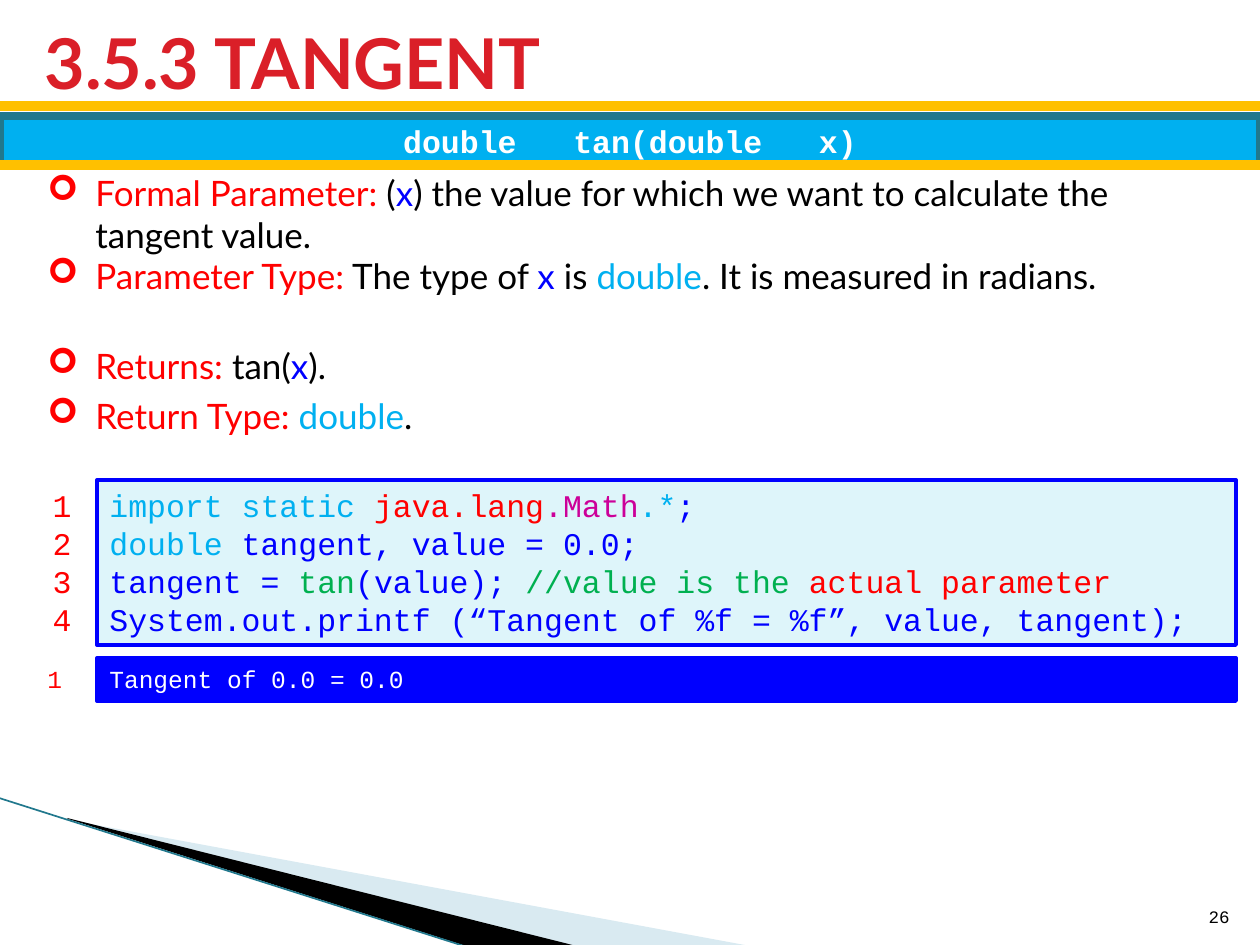
from lxml import etree
from pptx import Presentation, util as u
from pptx.dml.color import RGBColor
from pptx.enum import shapes, text
from pptx.oxml.ns import qn

PX = 914400 / 126
WHITE = RGBColor(0xFF, 0xFF, 0xFF)
BLACK = RGBColor(0, 0, 0)
RED = RGBColor(0xFF, 0, 0)
TITLE_RED = RGBColor(0xDA, 0x1F, 0x28)
BLUE = RGBColor(0, 0, 0xFF)
SKY = RGBColor(0, 0xB0, 0xF0)
GREEN = RGBColor(0, 0xB0, 0x50)
MAGENTA = RGBColor(0xCC, 0, 0x99)
GOLD = RGBColor(0xFF, 0xC0, 0)
TEAL = RGBColor(0x21, 0x78, 0x8D)
PALE = RGBColor(0xDE, 0xF5, 0xFA)
MIST = RGBColor(0xD9, 0xEA, 0xF1)
LEFT, TOP, MIDDLE = text.PP_ALIGN.LEFT, text.MSO_ANCHOR.TOP, text.MSO_ANCHOR.MIDDLE
CENTER, RIGHT = text.PP_ALIGN.CENTER, text.PP_ALIGN.RIGHT


def px(*lengths):
    return [u.Emu(round(n * PX)) for n in lengths]


def write(holder, lines, size, font="Courier New", bold=False, align=LEFT, anchor=TOP):
    """Fill a shape with lines, each a list of (wording, colour) pieces."""
    frame = holder.text_frame
    frame.word_wrap = True
    frame.vertical_anchor = anchor
    for i, pieces in enumerate(lines):
        line = frame.add_paragraph() if i else frame.paragraphs[0]
        line.alignment = align
        for wording, colour in pieces:
            run = line.add_run()
            run.text = wording
            run.font.size, run.font.name, run.font.bold = u.Pt(size), font, bold
            run.font.color.rgb = colour


deck = Presentation()
deck.slide_width, deck.slide_height = px(1260, 945)
slide = deck.slides.add_slide(deck.slide_layouts[5])
parts = slide.shapes

# Corner wedges
for colour, corners in [
    (MIST, [(69, 820), (750, 946), (575, 946), (69, 819)]),
    (BLACK, [(67, 818), (576, 946), (469, 947), (68, 819)]),
]:
    outline = parts.build_freeform(*corners[0], scale=PX)
    outline.add_line_segments(corners[1:])
    wedge = outline.convert_to_shape()
    wedge.shadow.inherit = False
    wedge.fill.solid()
    wedge.fill.fore_color.rgb = colour
    wedge.line.fill.background()

# Title
title = parts.title
title.left, title.top, title.width, title.height = px(32, 21, 1193, 82)
write(title, [[("3.5.3 TANGENT", TITLE_RED)]], 40, "Lato", True, anchor=MIDDLE)
title.text_frame.auto_size = text.MSO_AUTO_SIZE.NONE

# Signature banner, code listing and output
panels = []
for box, fill, edge, weight in [
    ((0, 116, 1260, 49), SKY, TEAL, 4.33),
    ((97, 480, 1139, 165), PALE, BLUE, 2.25),
    ((97, 658, 1139, 43), BLUE, BLUE, 2.25),
]:
    panel = parts.add_shape(shapes.MSO_SHAPE.RECTANGLE, *px(*box))
    panel.shadow.inherit = False
    panel.fill.solid()
    panel.fill.fore_color.rgb = fill
    panel.line.color.rgb = edge
    panel.line.width = u.Pt(weight)
    panels.append(panel)
banner, code, output = panels
write(banner, [[("double   tan(double   x)", WHITE)]], 18, bold=True, align=CENTER, anchor=MIDDLE)
write(code, [
    [("import static ", SKY), ("java.lang", RED), (".Math", MAGENTA), (".*", SKY), (";", BLUE)],
    [("double", SKY), (" tangent, value = 0.0;", BLUE)],
    [("tangent = ", BLUE), ("tan", GREEN), ("(value); ", BLUE),
     ("//value is the ", GREEN), ("actual parameter", RED)],
    [("System.out.printf (“Tangent of %f = %f”, value, tangent);", BLUE)],
], 18)
write(output, [[("Tangent of 0.0 = 0.0", WHITE)]], 14)

# Line numbers
code_numbers = parts.add_textbox(*px(25, 480, 59, 165))
write(code_numbers, [[(str(n), RED)] for n in range(1, 5)], 18, align=RIGHT)
output_number = parts.add_textbox(*px(35, 658, 34, 43))
write(output_number, [[("1", RED)]], 14)

# Gold rules around the banner, and the thin corner line
for x1, y1, x2, y2, colour, weight in [
    (0, 106, 1260, 106, GOLD, 6),
    (0, 165, 1260, 165, GOLD, 6),
    (-1, 798, 467, 947, TEAL, 0.95),
]:
    rule = parts.add_connector(shapes.MSO_CONNECTOR.STRAIGHT, *px(x1, y1, x2, y2))
    rule.line.color.rgb = colour
    rule.line.width = u.Pt(weight)
    etree.SubElement(rule._element.spPr, qn("a:effectLst"))

# Bulleted facts about the method
for top, height, pieces in [
    (165, 97, [("Formal Parameter:", RED), (" (", BLACK), ("x", BLUE),
               (") the value for which we want to calculate the tangent value.", BLACK)]),
    (248, 55, [("Parameter Type:", RED), (" The type of ", BLACK), ("x", BLUE), (" is ", BLACK),
               ("double", SKY), (". It is measured in radians.", BLACK)]),
    (338, 55, [("Returns:", RED), (" tan(", BLACK), ("x", BLUE), (").", BLACK)]),
    (388, 55, [("Return Type: ", RED), ("double", SKY), (".", BLACK)]),
]:
    fact = parts.add_textbox(*px(35, top, 1191, height))
    write(fact, [pieces], 20, "Lato")
    props = fact.text_frame.paragraphs[0]._p.get_or_add_pPr()
    indent = px(48)[0]
    props.set("marL", str(indent))
    props.set("indent", str(-indent))
    bullet_colour = etree.SubElement(props, qn("a:buClr"))
    etree.SubElement(bullet_colour, qn("a:srgbClr"), val=str(RED))
    etree.SubElement(props, qn("a:buFont"), typeface="Wingdings")
    etree.SubElement(props, qn("a:buChar"), char="➢")

# Page number
page = parts.add_textbox(*px(1192, 883, 50, 50))
write(page, [[("26", BLACK)]], 10, align=RIGHT, anchor=text.MSO_ANCHOR.BOTTOM)

deck.save("out.pptx")
